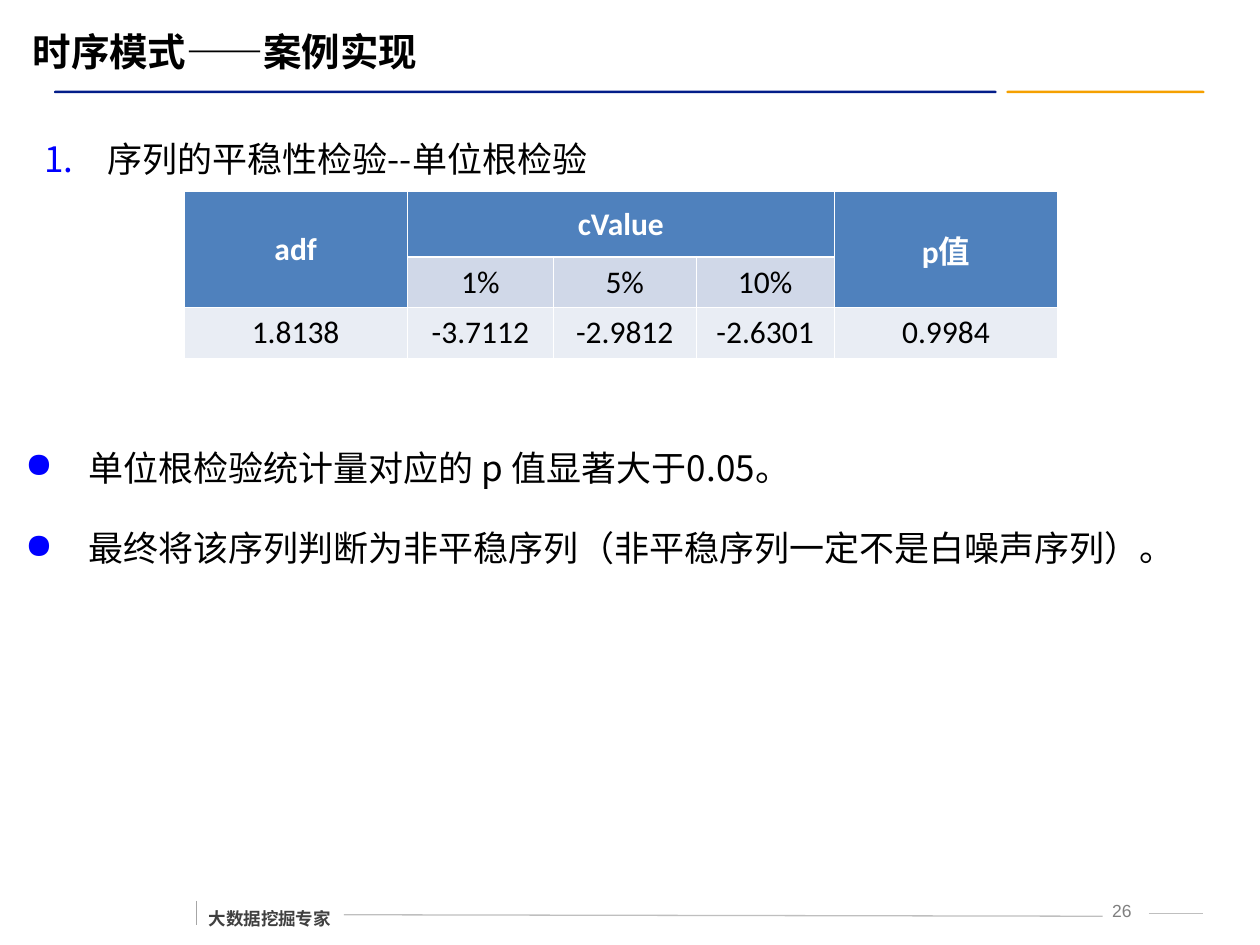
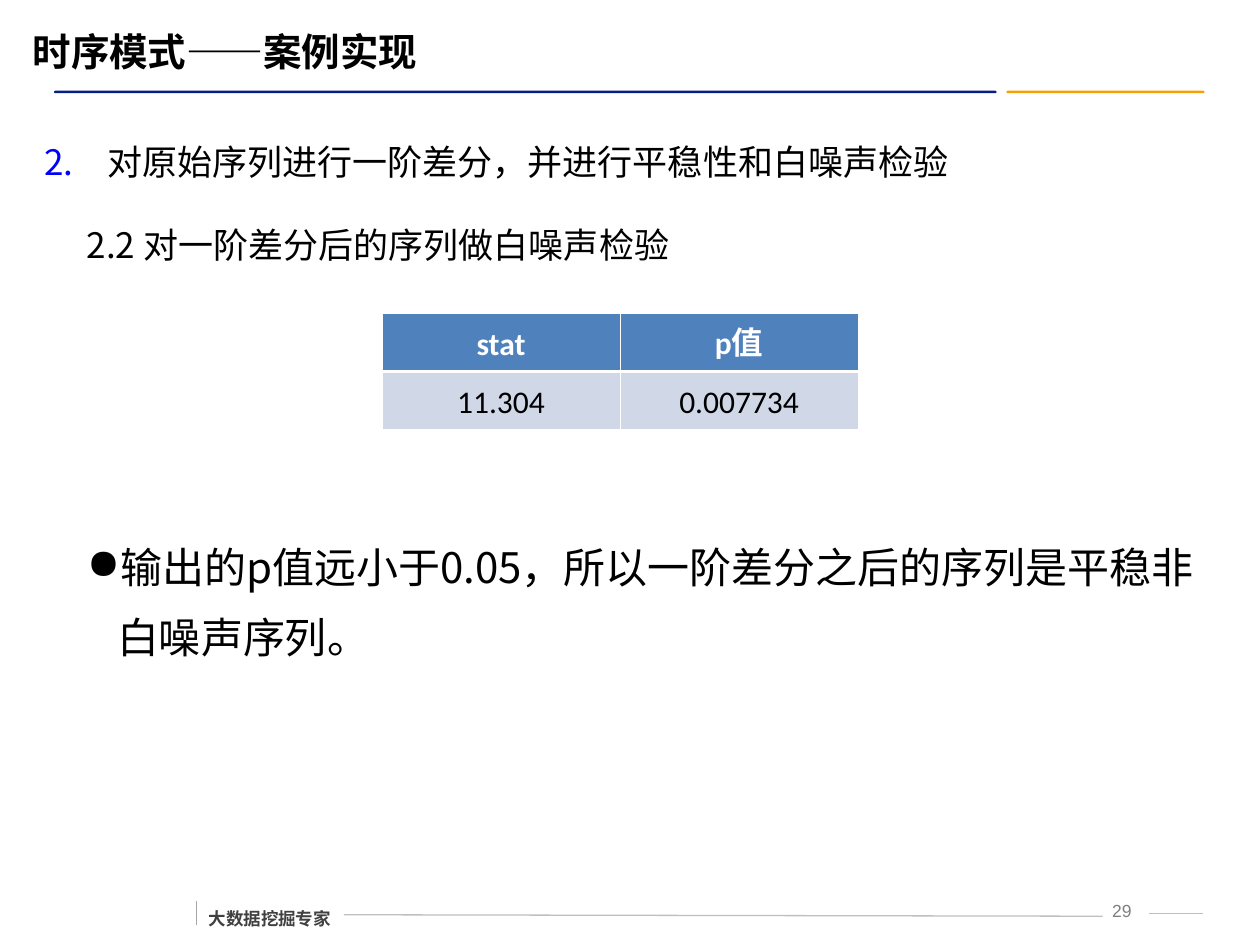
from lxml import etree
from pptx import Presentation
from pptx.dml.color import RGBColor
from pptx.enum.shapes import MSO_CONNECTOR, MSO_SHAPE
from pptx.enum.text import MSO_ANCHOR, PP_ALIGN
from pptx.oxml.ns import qn
from pptx.util import Cm, Pt

STRAIGHT = MSO_CONNECTOR.STRAIGHT
ROUNDED = MSO_SHAPE.ROUNDED_RECTANGLE
LEFT, CENTER = PP_ALIGN.LEFT, PP_ALIGN.CENTER
TOP, MIDDLE = MSO_ANCHOR.TOP, MSO_ANCHOR.MIDDLE

BLACK = RGBColor(0x00, 0x00, 0x00)
WHITE = RGBColor(0xFF, 0xFF, 0xFF)
NAVY = RGBColor(0x03, 0x1D, 0x89)
ORANGE = RGBColor(0xF5, 0xA0, 0x00)
BLUE = RGBColor(0x00, 0x00, 0xFF)
GREY = RGBColor(0x7F, 0x7F, 0x7F)
DARK_GREY = RGBColor(0x40, 0x40, 0x40)
RULE_GREY = RGBColor(0xBF, 0xBF, 0xBF)
TICK_GREY = RGBColor(0xA6, 0xA6, 0xA6)
HEADER_BLUE = RGBColor(0x4F, 0x81, 0xBD)
BAND_DARK = RGBColor(0xD0, 0xD8, 0xE8)
BAND_LIGHT = RGBColor(0xE9, 0xED, 0xF4)

CJK_FONT = "Noto Sans CJK SC"
TITLE = "时序模式——案例实现"
FOOTER = "大数据挖掘专家"


def style(paragraph, size, color=BLACK, bold=False, font=CJK_FONT, align=LEFT, spacing=None):
    paragraph.alignment = align
    if spacing:
        paragraph.line_spacing = Pt(spacing)
    paragraph.font.name = font
    paragraph.font.size = Pt(size)
    paragraph.font.bold = bold
    paragraph.font.color.rgb = color
    defaults = paragraph._p.pPr.find(qn("a:defRPr"))
    etree.SubElement(defaults, qn("a:ea"), typeface=CJK_FONT)


def add_text(slide, box, lines, size, inset=0, anchor=TOP, wrap=True, gap=0,
             bullet=None, bullet_color=BLUE, hang=1.27, **text_style):
    """Bullet is a character, or a number to start counting from."""
    frame = slide.shapes.add_textbox(*map(Cm, box)).text_frame
    frame.word_wrap = wrap
    frame.vertical_anchor = anchor
    frame.margin_left = frame.margin_right = Cm(inset)
    frame.margin_top = frame.margin_bottom = Cm(inset / 2)
    for index, line in enumerate(lines):
        paragraph = frame.add_paragraph() if index else frame.paragraphs[0]
        paragraph.text = line
        if index:
            paragraph.space_before = Pt(gap)
        if bullet:
            properties = paragraph._p.get_or_add_pPr()
            properties.set("marL", str(Cm(hang)))
            properties.set("indent", str(-Cm(hang)))
            color = etree.SubElement(properties, qn("a:buClr"))
            etree.SubElement(color, qn("a:srgbClr"), val=str(bullet_color))
            if isinstance(bullet, int):
                etree.SubElement(properties, qn("a:buAutoNum"),
                                 type="arabicPeriod", startAt=str(bullet))
            else:
                etree.SubElement(properties, qn("a:buChar"), char=bullet)
        style(paragraph, size, **text_style)


presentation = Presentation()
presentation.slide_width, presentation.slide_height = Cm(25.4), Cm(19.05)
blank_layout = presentation.slide_layouts[6]

# Title, rules and footer on both slides
slides = []
for page in (26, 29):
    slide = presentation.slides.add_slide(blank_layout)
    slides.append(slide)

    for left, width, color in ((20.29, 3.99, ORANGE), (1.09, 19, NAVY)):
        bar = slide.shapes.add_shape(ROUNDED, Cm(left), Cm(1.83), Cm(width), Cm(0.05))
        bar.shadow.inherit = False
        bar.adjustments[0] = 0.5
        bar.fill.solid()
        bar.fill.fore_color.rgb = color
        bar.line.fill.background()

    for x1, y1, x2, y2, color in (
        (6.93, 18.44, 22.23, 18.47, RULE_GREY),
        (23.16, 18.42, 24.26, 18.42, RULE_GREY),
        (3.96, 18.16, 3.96, 18.64, TICK_GREY),
    ):
        rule = slide.shapes.add_connector(STRAIGHT, Cm(x1), Cm(y1), Cm(x2), Cm(y2))
        rule.line.color.rgb = color
        rule.line.width = Pt(0.75)
        etree.SubElement(rule._element.spPr, qn("a:effectLst"))

    add_text(slide, (22.02, 18.01, 1.19, 0.64), [str(page)], 10, inset=0.25,
             color=GREY, font="Arial", align=CENTER)
    add_text(slide, (3.96, 17.96, 2.97, 0.89), [FOOTER], 10, inset=0.25, wrap=False,
             color=DARK_GREY, bold=True, spacing=18)
    add_text(slide, (0.41, 0.43, 23.11, 1.19), [TITLE], 22, inset=0.25, anchor=MIDDLE, bold=True)

unit_root_slide, white_noise_slide = slides

# Unit root test text
add_text(unit_root_slide, (0.89, 2.34, 24.2, 1.27), ["序列的平稳性检验--单位根检验"], 20,
         bullet=1, spacing=36)
add_text(unit_root_slide, (0.51, 8.4, 24.6, 3.25),
         ["单位根检验统计量对应的 p 值显著大于0.05。",
          "最终将该序列判断为非平稳序列（非平稳序列一定不是白噪声序列）。"],
         20, bullet="●", gap=5, spacing=41)

# White noise test text
add_text(white_noise_slide, (0.89, 2.34, 24.2, 1.34),
         ["对原始序列进行一阶差分，并进行平稳性和白噪声检验"], 20, bullet=2, spacing=38)
add_text(white_noise_slide, (1.5, 4.32, 23.22, 1.17), ["2.2 对一阶差分后的序列做白噪声检验"],
         20, inset=0.25, spacing=26)
add_text(white_noise_slide, (1.75, 10.52, 22.71, 2.82),
         ["输出的p值远小于0.05，所以一阶差分之后的序列是平稳非白噪声序列。"],
         24, bullet="●", bullet_color=BLACK, hang=0.61, spacing=40)

# Result tables: slide, position, widths, heights, rows, merges, anchor, line spacing
tables = (
    (unit_root_slide, (3.71, 3.86), (4.5, 2.95, 2.87, 2.79, 4.5), (1.32, 1.02, 1.02),
     (("adf", "cValue", "", "", "p值"),
      ("", "1%", "5%", "10%", ""),
      ("1.8138", "-3.7112", "-2.9812", "-2.6301", "0.9984")),
     ((0, 0, 1, 0), (0, 1, 0, 3), (0, 4, 1, 4)), MIDDLE, None),
    (white_noise_slide, (7.7, 6.32), (4.8, 4.8), (1.17, 1.17),
     (("stat", "p值"), ("11.304", "0.007734")), (), TOP, 26),
)
row_fills = (HEADER_BLUE, BAND_DARK, BAND_LIGHT)
for slide, (left, top), widths, heights, rows, merges, anchor, spacing in tables:
    table = slide.shapes.add_table(len(rows), len(widths), Cm(left), Cm(top),
                                   Cm(sum(widths)), Cm(sum(heights))).table
    for column, width in zip(table.columns, widths):
        column.width = Cm(width)
    for row, height in zip(table.rows, heights):
        row.height = Cm(height)
    for row1, column1, row2, column2 in merges:
        table.cell(row1, column1).merge(table.cell(row2, column2))

    for row_index, row in enumerate(rows):
        for column_index, text in enumerate(row):
            cell = table.cell(row_index, column_index)
            is_header = row_index == 0
            cell.vertical_anchor = anchor
            cell.margin_top = cell.margin_bottom = Cm(0.1)

            # White borders, heavier below the header row
            heavy_side = {0: "B", 1: "T"}.get(row_index)
            if cell.is_merge_origin and cell.span_height > 1:
                heavy_side = None
            properties = cell._tc.get_or_add_tcPr()
            for side in "LRTB":
                border = etree.SubElement(properties, qn(f"a:ln{side}"),
                                          w=str(Pt(1.47 if side == heavy_side else 0.45)))
                fill = etree.SubElement(border, qn("a:solidFill"))
                etree.SubElement(fill, qn("a:srgbClr"), val=str(WHITE))
            cell.fill.solid()
            cell.fill.fore_color.rgb = row_fills[row_index]

            if text:
                cell.text = text
            style(cell.text_frame.paragraphs[0], 18, WHITE if is_header else BLACK,
                  bold=is_header, font="Calibri", align=CENTER, spacing=spacing)

presentation.save("out.pptx")
